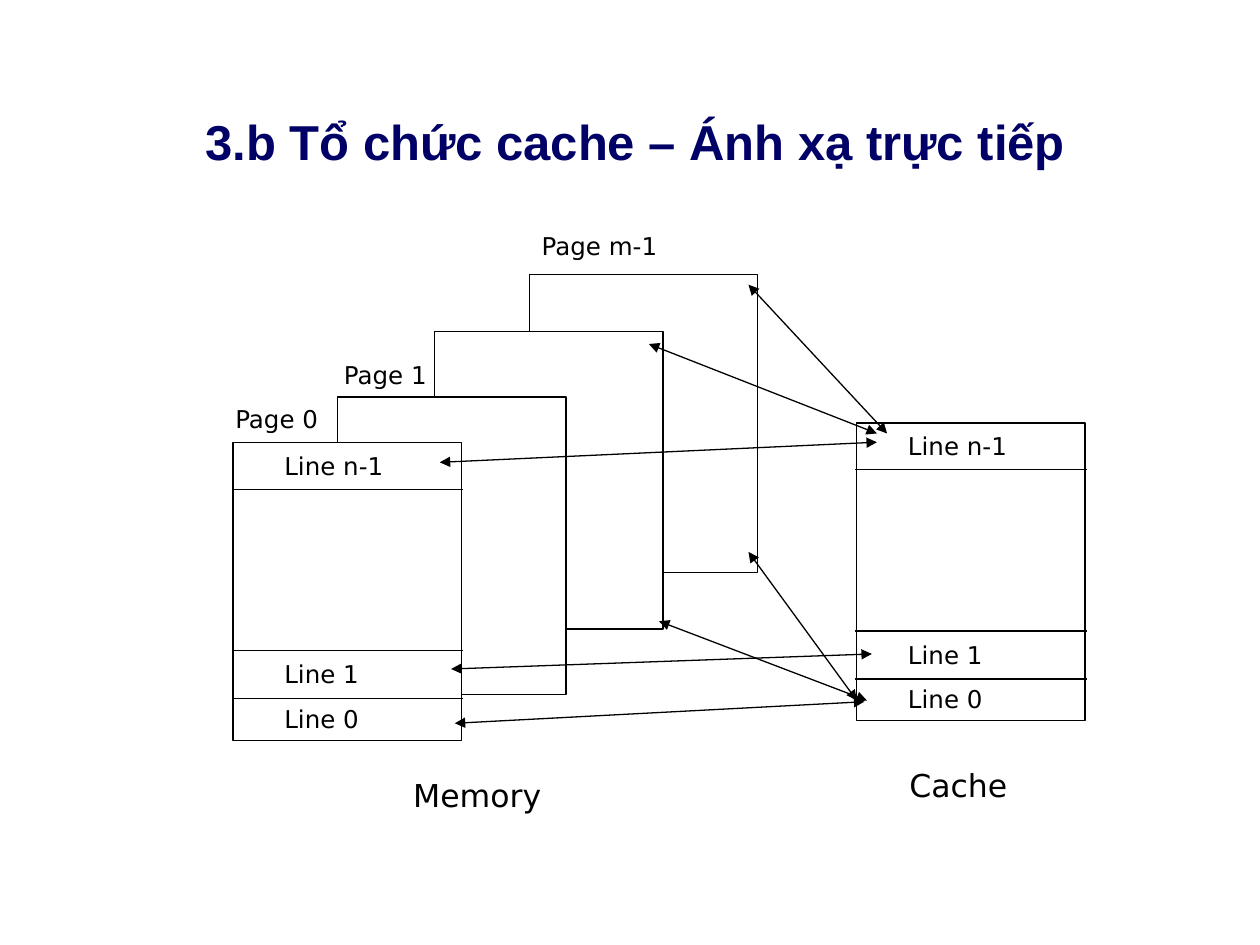
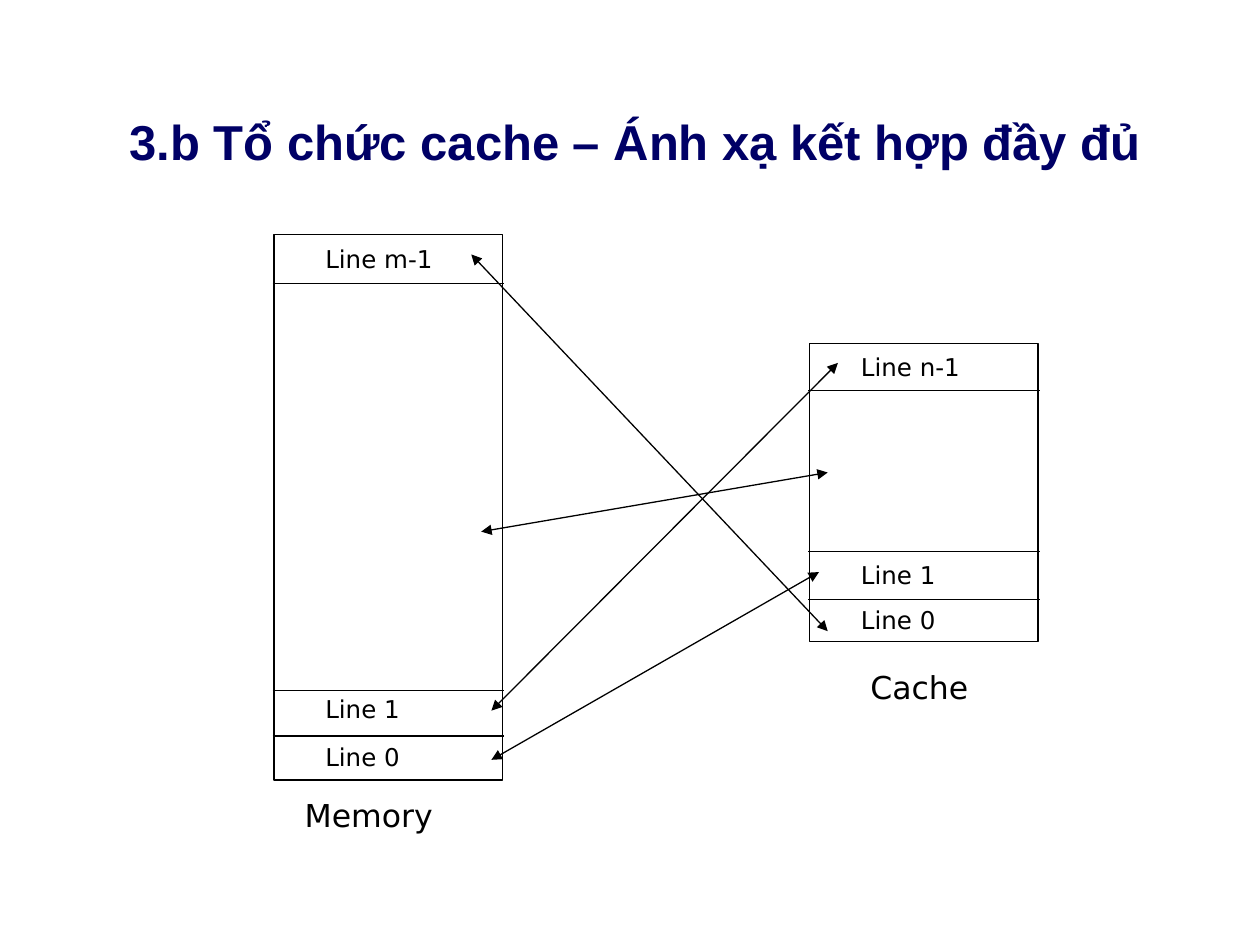
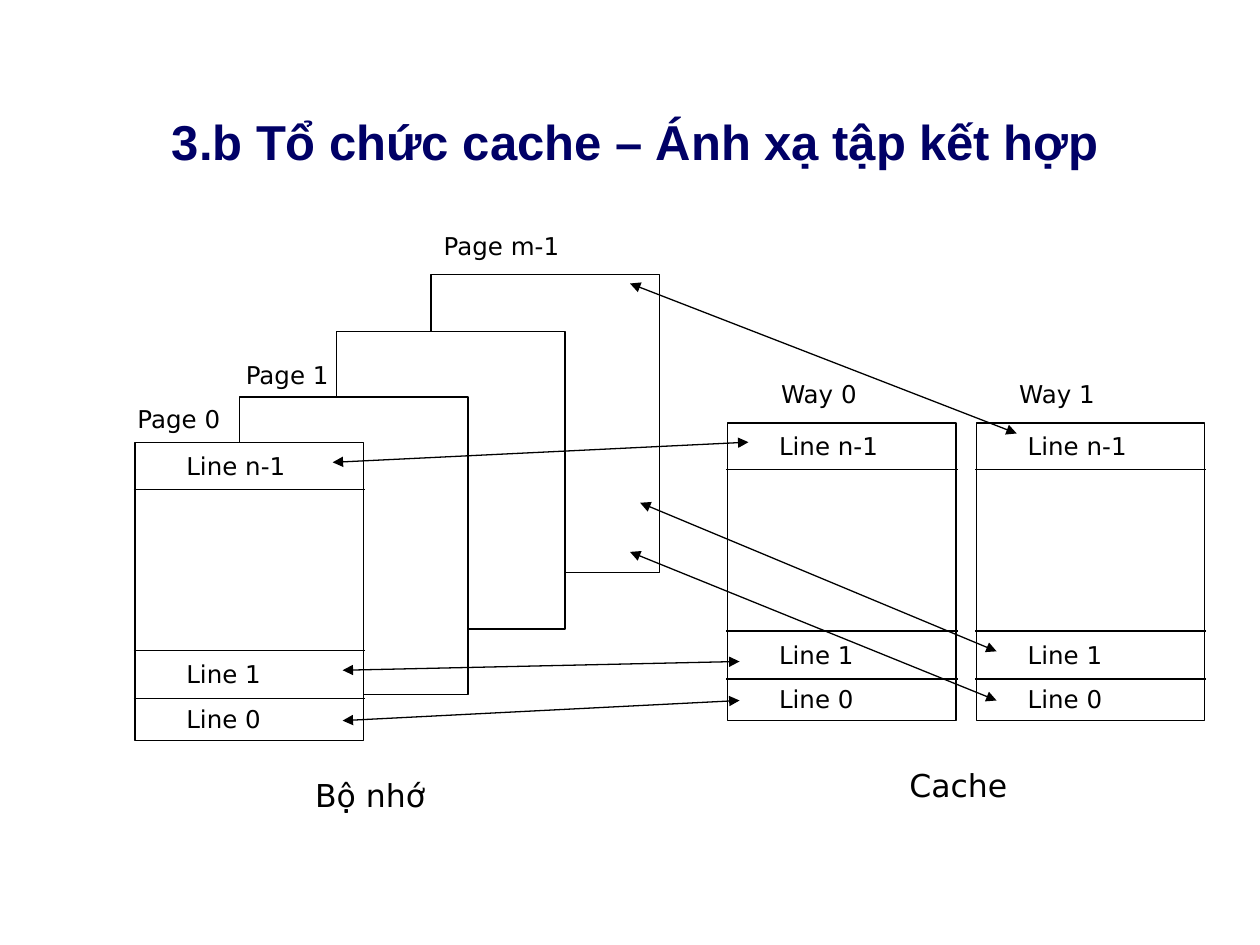
from dataclasses import dataclass

from lxml.etree import SubElement
from pptx import Presentation
from pptx.dml.color import RGBColor
from pptx.enum.shapes import MSO_CONNECTOR, MSO_SHAPE
from pptx.enum.text import MSO_ANCHOR, MSO_AUTO_SIZE, PP_ALIGN
from pptx.oxml.ns import qn
from pptx.shapes.connector import Connector
from pptx.slide import Slide
from pptx.util import Pt

BLACK = "000000"
WHITE = "FFFFFF"
NAVY = "000066"
TITLE_FONT = "Arial"
LABEL_FONT = "DejaVu Sans"
LINE_WIDTH = 0.75
BLOCK_WIDTH = 130.5
BLOCK_HEIGHT = 170
DIVIDER_OVERHANG = 0.8
NAME_INDENT = 22.2
TITLE_ONLY_LAYOUT = 5


@dataclass(frozen=True)
class Label:
    text: str
    left: float
    top: float
    width: float = 90.7
    size: float = 14


@dataclass(frozen=True)
class Row:
    name: str
    name_top: float
    divider: float


@dataclass(frozen=True)
class Block:
    left: float
    top: float
    rows: tuple[Row, ...]
    height: float = BLOCK_HEIGHT


@dataclass(frozen=True)
class Arrow:
    start_x: float
    start_y: float
    end_x: float
    end_y: float


SHORT_ROWS = (Row("Line n-1", 1, 26.6), Row("Line 1", 120.2, 118.8), Row("Line 0", 145.5, 146.2))
TALL_ROWS = (Row("Line m-1", 2, 28), Row("Line 1", 259.2, 260.6), Row("Line 0", 286.6, 286.6))
BACK_PAGES = ((169.2, 157), (115.2, 189.4), (59.8, 226.8))
FRONT_PAGE_TOP = 253

DIRECT_ARROWS = (
    Arrow(259.9, 413.3, 493.9, 401),
    Arrow(257.8, 382.3, 498.2, 373.7),
    Arrow(251.3, 264.2, 501.1, 252.7),
    Arrow(427.7, 162.7, 506.9, 247.7),
    Arrow(370.8, 196.6, 501.1, 247.7),
    Arrow(427.7, 315.4, 489.6, 400.3),
    Arrow(376.6, 355, 495.4, 400.3),
)
ASSOCIATIVE_ARROWS = (
    Arrow(280.8, 434.2, 468, 326.9),
    Arrow(280.8, 406.1, 478.8, 207.4),
    Arrow(269.3, 145.4, 473, 360.7),
    Arrow(275, 303.8, 473, 270),
)
SET_ARROWS = (
    Arrow(195.8, 411.8, 422.6, 400.3),
    Arrow(195.8, 383, 422.6, 378),
    Arrow(190.1, 264.2, 427.7, 252.7),
    Arrow(360, 162, 581, 247.7),
    Arrow(360, 315.4, 569.5, 400.3),
    Arrow(365.8, 287.3, 569.5, 372.2),
)


def colour(value: str) -> RGBColor:
    return RGBColor.from_string(value)


def add_page(deck: Presentation, title: str) -> Slide:
    page = deck.slides.add_slide(deck.slide_layouts[TITLE_ONLY_LAYOUT])
    box = page.shapes.title
    box.left, box.top, box.width, box.height = Pt(18), Pt(60), Pt(690), Pt(41)
    frame = box.text_frame
    frame.auto_size = MSO_AUTO_SIZE.NONE
    frame.vertical_anchor = MSO_ANCHOR.MIDDLE
    para = frame.paragraphs[0]
    para.alignment = PP_ALIGN.CENTER
    span = para.add_run()
    span.text = title
    span.font.name = TITLE_FONT
    span.font.size = Pt(28)
    span.font.bold = True
    span.font.color.rgb = colour(NAVY)
    return page


def draw_label(page: Slide, label: Label) -> None:
    height = 24 if label.size < 18 else 28.8
    box = page.shapes.add_textbox(Pt(label.left), Pt(label.top), Pt(label.width), Pt(height))
    frame = box.text_frame
    frame.word_wrap = True
    frame.auto_size = MSO_AUTO_SIZE.SHAPE_TO_FIT_TEXT
    span = frame.paragraphs[0].add_run()
    span.text = label.text
    span.font.name = LABEL_FONT
    span.font.size = Pt(label.size)
    span.font.color.rgb = colour(BLACK)


def draw_rectangle(page: Slide, left: float, top: float, height: float = BLOCK_HEIGHT) -> None:
    box = page.shapes.add_shape(MSO_SHAPE.RECTANGLE, Pt(left), Pt(top), Pt(BLOCK_WIDTH), Pt(height))
    box.shadow.inherit = False
    box.fill.solid()
    box.fill.fore_color.rgb = colour(WHITE)
    box.line.color.rgb = colour(BLACK)
    box.line.width = Pt(LINE_WIDTH)


def draw_line(page: Slide, path: Arrow) -> Connector:
    line = page.shapes.add_connector(
        MSO_CONNECTOR.STRAIGHT, Pt(path.start_x), Pt(path.start_y), Pt(path.end_x), Pt(path.end_y)
    )
    line.line.color.rgb = colour(BLACK)
    line.line.width = Pt(LINE_WIDTH)
    SubElement(line._element.spPr, qn("a:effectLst"))
    return line


def draw_arrows(page: Slide, arrows: tuple[Arrow, ...]) -> None:
    for arrow in arrows:
        outline = draw_line(page, arrow).line._get_or_add_ln()
        for end in ("a:headEnd", "a:tailEnd"):
            SubElement(outline, qn(end), type="triangle")


def draw_block(page: Slide, block: Block) -> None:
    draw_rectangle(page, block.left, block.top, block.height)
    start = block.left - DIVIDER_OVERHANG
    end = block.left + BLOCK_WIDTH + DIVIDER_OVERHANG
    for row in block.rows:
        level = block.top + row.divider
        draw_line(page, Arrow(start, level, end, level))
        draw_label(page, Label(row.name, block.left + NAME_INDENT, block.top + row.name_top))


def draw_memory_pages(page: Slide, left: float, caption: str) -> None:
    for offset, top in BACK_PAGES:
        draw_rectangle(page, left + offset, top)
    draw_block(page, Block(left, FRONT_PAGE_TOP, SHORT_ROWS))
    draw_label(page, Label("Page 0", left - 5.8, 227.5, 64))
    draw_label(page, Label("Page 1", left + 56.2, 202.3, 64))
    draw_label(page, Label("Page m-1", left + 169.2, 128.2, 85))
    draw_label(page, Label(caption, left + 95.8, 440, 95, 18))


def draw_direct_mapping(deck: Presentation) -> None:
    page = add_page(deck, "3.b Tổ chức cache – Ánh xạ trực tiếp")
    draw_memory_pages(page, 133.2, "Memory")
    draw_block(page, Block(489.6, 241.8, SHORT_ROWS))
    draw_label(page, Label("Cache", 512.6, 434, 73, 18))
    draw_arrows(page, DIRECT_ARROWS)


def draw_fully_associative(deck: Presentation) -> None:
    page = add_page(deck, "3.b Tổ chức cache – Ánh xạ kết hợp đầy đủ")
    draw_block(page, Block(462.7, 196.4, SHORT_ROWS))
    draw_block(page, Block(156.6, 134, TALL_ROWS, 311.8))
    draw_label(page, Label("Cache", 490.3, 378, 73, 18))
    draw_label(page, Label("Memory", 167, 451.4, 95, 18))
    draw_arrows(page, ASSOCIATIVE_ARROWS)


def draw_set_associative(deck: Presentation) -> None:
    page = add_page(deck, "3.b Tổ chức cache – Ánh xạ tập kết hợp")
    draw_memory_pages(page, 77.2, "Bộ nhớ")
    for name, block_left, name_left in (("Way 0", 415.9, 439.2), ("Way 1", 558, 575.3)):
        draw_block(page, Block(block_left, 241.8, SHORT_ROWS))
        draw_label(page, Label(name, name_left, 213, 85))
    draw_label(page, Label("Cache", 512.6, 434, 73, 18))
    draw_arrows(page, SET_ARROWS)


def main() -> None:
    deck = Presentation()
    deck.slide_width, deck.slide_height = Pt(720), Pt(540)
    draw_direct_mapping(deck)
    draw_fully_associative(deck)
    draw_set_associative(deck)
    deck.save("out.pptx")


if __name__ == "__main__":
    main()
